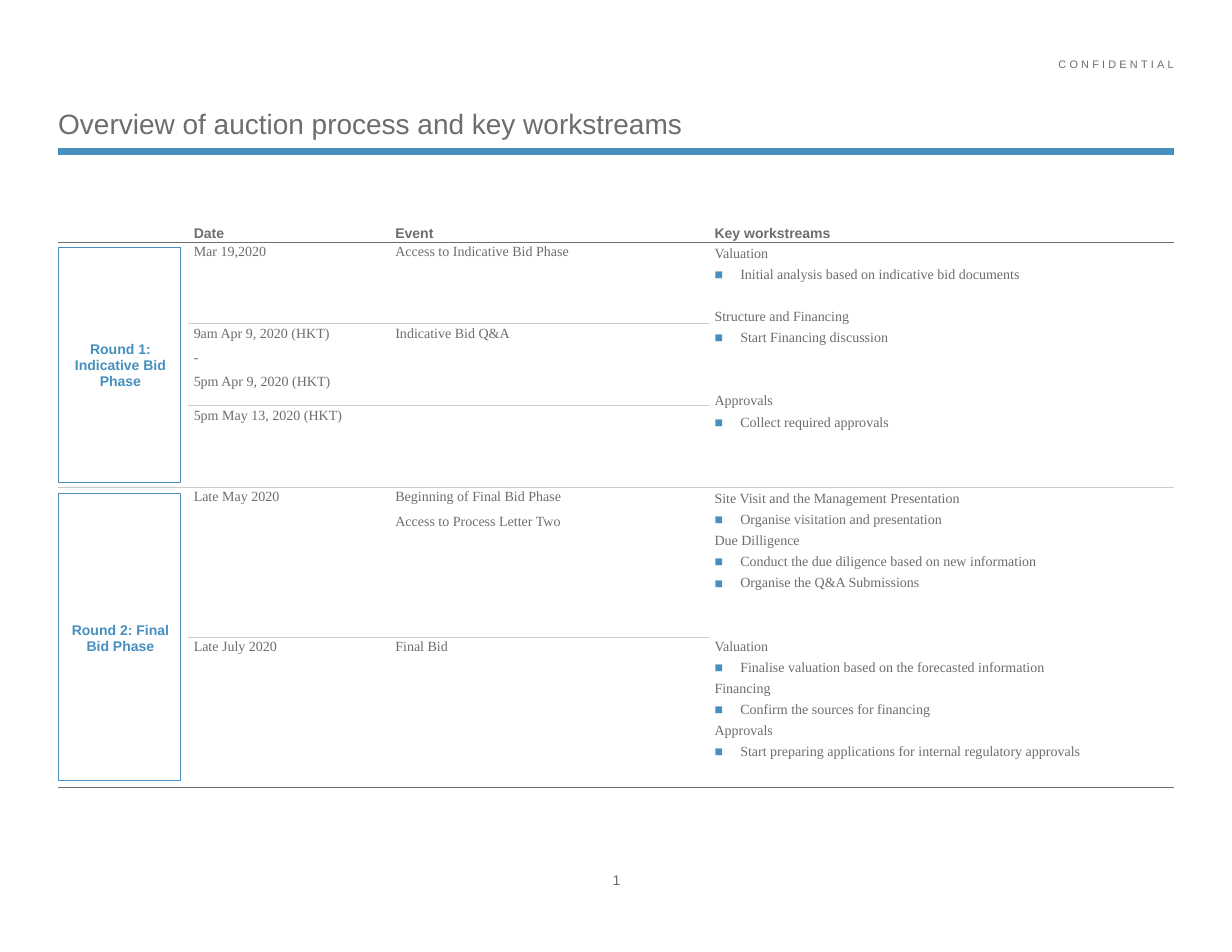
import pptx
import pptx.util
import pptx.dml.color
import pptx.enum.text
import pptx.enum.shapes
import pptx.oxml
import pptx.oxml.ns
from lxml import etree

Inches, Pt = pptx.util.Inches, pptx.util.Pt
RGB = pptx.dml.color.RGBColor.from_string
ALIGN, ANCHOR = pptx.enum.text.PP_ALIGN, pptx.enum.text.MSO_ANCHOR
qn = pptx.oxml.ns.qn

theme = {
    "blue": "478FBF", "dark": "6D6E6A", "pale": "CCCDCB",
    "sans": "Arial", "serif": "Times New Roman",
    "title": 18, "body": 9, "mark": 7,
}


def write(frame, lines, size="body", face="sans", tone="dark", bold=False,
          anchor=ANCHOR.TOP, pads=(0, 0, 0, 0), wrap=True, **form):
    sides = ("margin_left", "margin_top", "margin_right", "margin_bottom")
    setup = dict(zip(sides, map(Inches, pads)), word_wrap=wrap, vertical_anchor=anchor)
    for key, value in setup.items():
        setattr(frame, key, value)
    for i, line in enumerate(lines):
        para = frame.paragraphs[0] if i == 0 else frame.add_paragraph()
        for key, value in form.items():
            setattr(para, key, value)
        run = para.add_run()
        run.text = line
        font = {"size": Pt(theme[size]), "name": theme[face], "bold": bold}
        for key, value in font.items():
            setattr(run.font, key, value)
        run.font.color.rgb = RGB(theme[tone])


def add(node, tag, **attrs):
    return etree.SubElement(node, qn(tag), attrs)


deck = pptx.Presentation()
deck.slide_width, deck.slide_height = Inches(11), Inches(8.5)
slide = deck.slides.add_slide(deck.slide_layouts[5])
shapes = slide.shapes
left, width = 0.52, 9.96

rule = shapes.add_connector(pptx.enum.shapes.MSO_CONNECTOR.STRAIGHT, Inches(left),
                            Inches(1.35), Inches(left + width), Inches(1.35))
rule.line.color.rgb = RGB(theme["blue"])
rule.line.width = Pt(4.5)
add(rule._element.spPr, "a:effectLst")

title = shapes.title
place = {"left": left, "top": 0.5, "width": width, "height": 0.75}
for key, value in place.items():
    setattr(title, key, Inches(value))
title.text_frame.auto_size = pptx.enum.text.MSO_AUTO_SIZE.NONE
write(title.text_frame, ["Overview of auction process and key workstreams"],
      size="title", anchor=ANCHOR.BOTTOM, alignment=ALIGN.LEFT)

mark = shapes.add_textbox(Inches(2.63), Inches(0.5), Inches(7.85), Inches(0.24)).text_frame
write(mark, ["CONFIDENTIAL"], size="mark", alignment=ALIGN.RIGHT, line_spacing=1.1)
mark.paragraphs[0].runs[0].font._element.set("spc", "210")

page = shapes.add_textbox(Inches(5.38), Inches(7.75), Inches(0.25), Inches(0.2)).text_frame
write(page, ["1"], anchor=ANCHOR.MIDDLE, wrap=False, alignment=ALIGN.CENTER, line_spacing=1.1)

cols = [1.16, 1.8, 2.85, 4.15]
rows = [0.2, 0.73, 0.73, 0.73, 1.34, 1.34]
frame = shapes.add_table(len(rows), len(cols), Inches(left), Inches(1.96),
                         Inches(width), Inches(sum(rows)))
table = frame.graphic_data.table if hasattr(frame, "graphic_data") else frame.table
table.first_row = table.horz_banding = False
table._tbl.tblPr.find(qn("a:tableStyleId")).text = "{2D5ABB26-0587-4C30-8999-92F81FD0307C}"
for col, wide in zip(table.columns, cols):
    col.width = Inches(wide)
for row, high in zip(table.rows, rows):
    row.height = Inches(high)

heads = ["Date", "Event", "Key workstreams"]
steps = [
    (["Mar 19,2020"], ["Access to Indicative Bid Phase"]),
    (["9am Apr 9, 2020 (HKT)", "-", "5pm Apr 9, 2020 (HKT)"], ["Indicative Bid Q&A"]),
    (["5pm May 13, 2020 (HKT)"], []),
    (["Late May 2020"], ["Beginning of Final Bid Phase", "Access to Process Letter Two"]),
    (["Late July 2020"], ["Final Bid"]),
]
rounds = [
    (1, 3, "Round 1: Indicative Bid Phase", [
        ("Valuation", 0, ["Initial analysis based on indicative bid documents"]),
        ("Structure and Financing", 1, ["Start Financing discussion"]),
        ("Approvals", 2, ["Collect required approvals"]),
    ]),
    (4, 5, "Round 2: Final Bid Phase", [
        ("Site Visit and the Management Presentation", 0,
         ["Organise visitation and presentation"]),
        ("Due Dilligence", 0, ["Conduct the due diligence based on new information",
                               "Organise the Q&A Submissions"]),
        ("Valuation", 2, ["Finalise valuation based on the forecasted information"]),
        ("Financing", 0, ["Confirm the sources for financing"]),
        ("Approvals", 0, ["Start preparing applications for internal regulatory approvals"]),
    ]),
]
pads = (0.05, 0.02, 0.1, 0)
before, after, pitch = 2.6, 3, 13.56

for c, head in enumerate(heads, 1):
    write(table.cell(0, c).text_frame, [head], bold=True)
    cell = table.cell(0, c)
    cell.vertical_anchor = ANCHOR.BOTTOM
    cell.text_frame.paragraphs[0].space_after = Pt(after)
for r, step in enumerate(steps, 1):
    for c, lines in enumerate(step, 1):
        write(table.cell(r, c).text_frame, lines, face="serif",
              space_before=Pt(before), space_after=Pt(after))

for first, last, name, topics in rounds:
    for c in (0, 3):
        table.cell(first, c).merge(table.cell(last, c))
    phase = table.cell(first, 0)
    write(phase.text_frame, [name], tone="blue", bold=True, alignment=ALIGN.CENTER,
          space_before=Pt(before), space_after=Pt(after))
    phase.vertical_anchor = ANCHOR.MIDDLE
    work = table.cell(first, 3).text_frame
    items = []
    for topic, gap, tasks in topics:
        items += [(topic, gap, False)] + [(task, 0, True) for task in tasks]
    write(work, [item[0] for item in items], face="serif", line_spacing=1.1)
    for para, (text, gap, dot) in zip(work.paragraphs, items):
        para.space_before = Pt(before + gap * pitch)
        if dot:
            props = para._p.get_or_add_pPr()
            props.set("marL", str(Inches(0.23)))
            props.set("indent", str(-Inches(0.23)))
            add(add(props, "a:buClr"), "a:srgbClr", val=theme["blue"])
            add(props, "a:buFont", typeface=theme["sans"])
            add(props, "a:buChar", char="■")

sides = ("margin_left", "margin_top", "margin_right", "margin_bottom")
for r in range(len(rows)):
    for c in range(len(cols)):
        cell = table.cell(r, c)
        for key, value in zip(sides, pads):
            setattr(cell, key, Inches(value))
        cell.fill.background()
        if not cell.text_frame.text:
            add(cell.text_frame.paragraphs[0]._p, "a:endParaRPr", sz=str(theme["body"] * 100))
        end = r + cell.span_height - 1 if cell.is_merge_origin else r
        if c in (0, 3) and r in (2,):
            continue
        tone = "dark" if end in (0, len(rows) - 1) else "pale"
        edge = etree.Element(qn("a:lnB"), {"w": str(Pt(0.5))})
        add(add(edge, "a:solidFill"), "a:srgbClr", val=theme[tone])
        cell._tc.get_or_add_tcPr().insert(0, edge)

for top, high in ((2.21, 2.1), (4.41, 2.56)):
    box = shapes.add_shape(pptx.enum.shapes.MSO_SHAPE.RECTANGLE, Inches(left), Inches(top),
                           Inches(1.09), Inches(high))
    box.shadow.inherit = False
    box.fill.background()
    box.line.color.rgb = RGB(theme["blue"])
    box.line.width = Pt(0.75)

deck.save("out.pptx")
